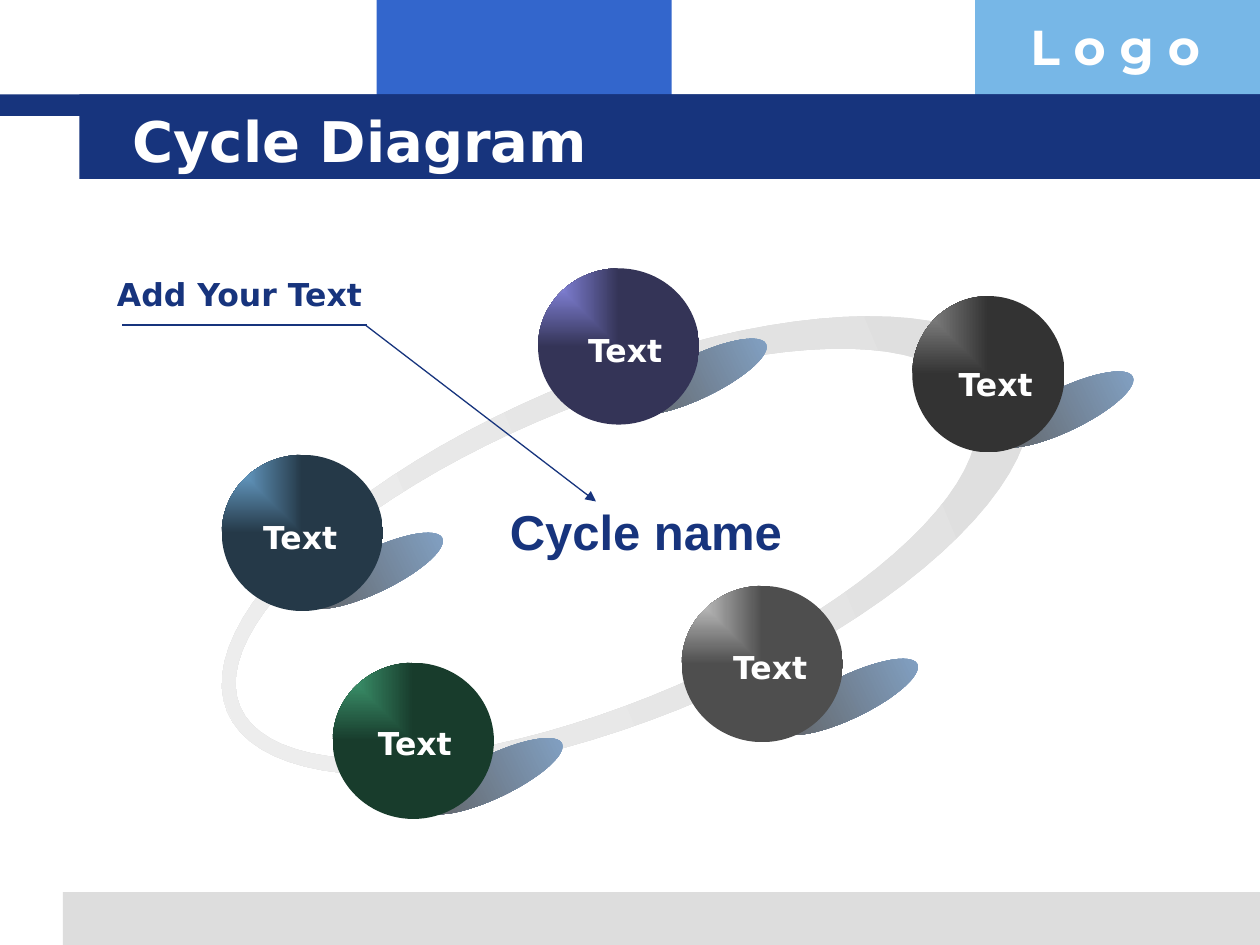
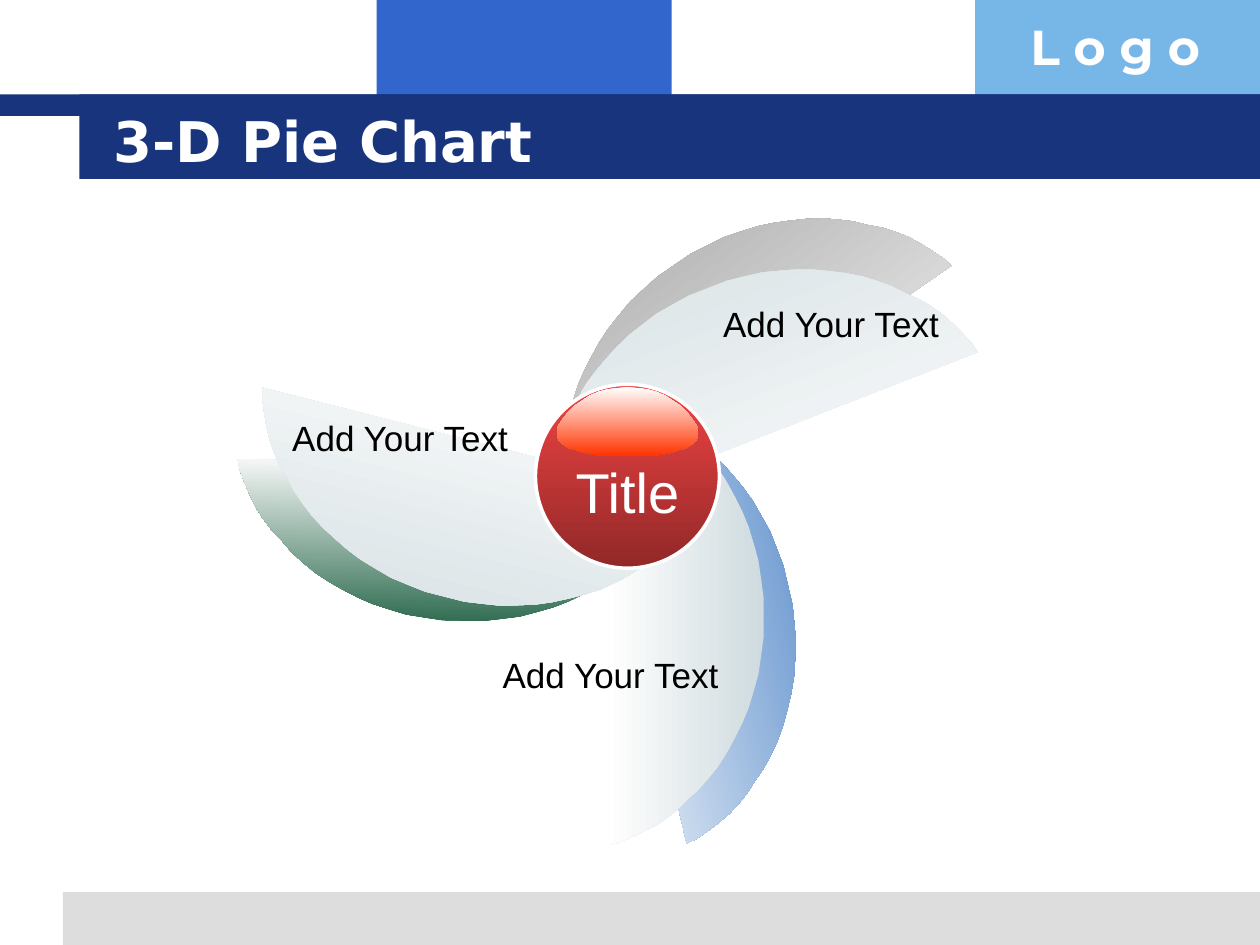
from math import cos, pi, sin

from lxml import etree
from pptx import Presentation
from pptx.dml.color import RGBColor
from pptx.enum.shapes import MSO_CONNECTOR, MSO_SHAPE
from pptx.enum.text import MSO_ANCHOR, MSO_AUTO_SIZE, PP_ALIGN
from pptx.oxml.ns import qn
from pptx.util import Inches, Pt

OVAL, RECTANGLE = MSO_SHAPE.OVAL, MSO_SHAPE.RECTANGLE
STRAIGHT = MSO_CONNECTOR.STRAIGHT
LEFT, CENTER, RIGHT = PP_ALIGN.LEFT, PP_ALIGN.CENTER, PP_ALIGN.RIGHT
MIDDLE = MSO_ANCHOR.MIDDLE
FIT_SHAPE, NO_FIT = MSO_AUTO_SIZE.SHAPE_TO_FIT_TEXT, MSO_AUTO_SIZE.NONE

COLORS = {
    "navy": "17347D", "blue": "3366CC", "sky": "77B7E7", "gray": "DDDDDD",
    "white": "FFFFFF", "black": "000000", "ring_end": "EFEFEF",
    "shadow": "84A5CA", "shadow_end": "5F5F5F",
    "violet": "9999FF", "violet_dark": "343457", "sky_dark": "253948",
    "green": "45AB7D", "green_dark": "183C2C", "gray_dark": "4E4E4E",
    "ash": "969696", "ash_dark": "333333",
    "petal_blue": "447EC4", "petal_green": "2A684C", "petal_end": "FEFEFE",
    "petal_light": "CFDBDF", "red": "F14343", "red_dark": "912828", "orange": "FF3300",
}

# Text styles
TITLE = {"name": "DejaVu Sans", "size": 32, "bold": True, "color": "white"}
LOGO = {"name": "Montserrat", "size": 28, "bold": True, "color": "white"}
BALL_LABEL = {"name": "DejaVu Sans", "size": 18, "bold": True, "color": "white"}
CALLOUT = {**BALL_LABEL, "color": "navy"}
CYCLE_NAME = {"name": "Arial", "size": 28, "bold": True, "color": "navy"}
HUB_TITLE = {"name": "Arial", "size": 32, "bold": False, "color": "white"}
PETAL_LABEL = {"name": "Arial", "size": 20, "bold": False, "color": "black"}

# Left, top, width, height, colour of the bands on every slide
BANDS = [
    (2.99, 0, 2.34, 0.92, "blue"),
    (7.74, 0, 2.26, 0.92, "sky"),
    (0.5, 7.08, 9.5, 0.42, "gray"),
    (0, 0.75, 10, 0.17, "navy"),
    (0.63, 0.75, 9.37, 0.67, "navy"),
]

# Ball left, top, width; shadow left, top; label left, top; colours
BALLS = [
    (4.27, 2.13, 1.28, 4.94, 2.82, 4.57, 2.58, "violet", "violet_dark"),
    (1.76, 3.61, 1.28, 2.37, 4.36, 1.99, 4.06, "sky", "sky_dark"),
    (2.64, 5.26, 1.28, 3.32, 5.99, 2.9, 5.7, "green", "green_dark"),
    (5.41, 4.65, 1.28, 6.14, 5.36, 5.72, 5.09, "gray", "gray_dark"),
    (7.24, 2.35, 1.21, 7.85, 3.08, 7.51, 2.85, "ash", "ash_dark"),
]

# Left, top, rotation, start and end colour of each petal
PETALS = [
    (5.02, 2.98, 346.8, "petal_blue", "petal_end"),
    (3.06, 2.49, 91, "petal_green", "petal_end"),
    (5.08, 0.81, 235.5, "ash", "petal_end"),
    (4.81, 3.09, 0, "petal_light", "white"),
    (3.06, 2.32, 104.3, "petal_light", "white"),
    (5.22, 1.06, 248.7, "petal_light", "white"),
]

# Upper half of a petal, measured from the middle of its straight side
PETAL_HALF = [
    (0, -1.81), (0.09, -1.79), (0.19, -1.75), (0.28, -1.71), (0.38, -1.66),
    (0.47, -1.6), (0.56, -1.53), (0.64, -1.45), (0.73, -1.37), (0.81, -1.28),
    (0.89, -1.18), (0.96, -1.07), (1.02, -0.96), (1.08, -0.84), (1.13, -0.72),
    (1.17, -0.59), (1.21, -0.45), (1.23, -0.31), (1.25, -0.16), (1.25, 0),
]

# Right half of the hub's gloss, measured from the middle of its top
GLOSS_HALF = [
    (0, 0), (0.08, 0.01), (0.16, 0.02), (0.23, 0.04), (0.3, 0.07), (0.36, 0.11),
    (0.42, 0.15), (0.47, 0.2), (0.51, 0.25), (0.55, 0.31), (0.56, 0.34),
    (0.56, 0.4), (0.54, 0.43), (0.52, 0.45), (0.49, 0.47), (0.46, 0.49),
    (0.41, 0.5), (0.36, 0.52), (0.31, 0.53), (0.25, 0.54), (0.13, 0.55),
]


def rgb(name):
    return RGBColor.from_string(COLORS[name])


def fill_gradient(shape, start, end, angle=180):
    """Fill with two colours; the angle runs counter-clockwise."""
    shape.fill.gradient()
    shape.fill.gradient_angle = angle
    for stop, color in zip(shape.fill.gradient_stops, (start, end)):
        stop.color.rgb = rgb(color)


def light_from_corner(shape):
    """Turn a linear gradient into one that spreads from the top left."""
    linear = next(shape.element.iter(qn("a:lin")))
    spread = etree.Element(qn("a:path"), {"path": "rect"})
    etree.SubElement(spread, qn("a:fillToRect"), {"r": "100000", "b": "100000"})
    linear.getparent().replace(linear, spread)


def add_preset(slide, kind, left, top, width, height):
    shape = slide.shapes.add_shape(kind, Inches(left), Inches(top), Inches(width), Inches(height))
    shape.shadow.inherit = False
    shape.line.fill.background()
    return shape


def add_outline(slide, *contours):
    """Draw closed contours as one shape; a second contour cuts a hole."""
    contours = [[(Inches(x), Inches(y)) for x, y in contour] for contour in contours]
    builder = slide.shapes.build_freeform(*contours[0][0])
    builder.add_line_segments(contours[0][1:], close=True)
    for contour in contours[1:]:
        builder.move_to(*contour[0])
        builder.add_line_segments(contour[1:], close=True)
    shape = builder.convert_to_shape()
    shape.shadow.inherit = False
    shape.line.fill.background()
    return shape


def format_text(frame, text, style, alignment):
    frame.text = text
    paragraph = frame.paragraphs[0]
    paragraph.alignment = alignment
    font = paragraph.runs[0].font
    values = {"name": style["name"], "size": Pt(style["size"]), "bold": style["bold"]}
    for attribute, value in values.items():
        setattr(font, attribute, value)
    font.color.rgb = rgb(style["color"])


def add_label(slide, text, left, top, width, height, style, alignment=LEFT, wrap=False):
    box = slide.shapes.add_textbox(Inches(left), Inches(top), Inches(width), Inches(height))
    box.text_frame.word_wrap = wrap
    box.text_frame.auto_size = FIT_SHAPE
    format_text(box.text_frame, text, style, alignment)


def add_line(slide, start, end, arrow=False):
    points = [Inches(value) for value in (*start, *end)]
    connector = slide.shapes.add_connector(STRAIGHT, *points)
    connector.line.color.rgb = rgb("navy")
    connector.line.width = Pt(0.75)
    if arrow:
        etree.SubElement(connector.line._get_or_add_ln(), qn("a:tailEnd"), {"type": "triangle"})
    etree.SubElement(connector.element.spPr, qn("a:effectLst"))


def add_titled_slide(presentation, text, margin=0.1):
    slide = presentation.slides.add_slide(presentation.slide_layouts[5])
    for *place, color in BANDS:
        band = add_preset(slide, RECTANGLE, *place)
        band.fill.solid()
        band.fill.fore_color.rgb = rgb(color)
    add_label(slide, "L o g o", 8.08, 0.08, 1.93, 0.57, LOGO, wrap=True)

    # Title, brought in front of the bands
    title = slide.shapes.title
    place = {"left": 0.8, "top": 0.8, "width": 8.53, "height": 0.62}
    for attribute, value in place.items():
        setattr(title, attribute, Inches(value))
    frame = title.text_frame
    frame.margin_left = Inches(margin)
    frame.vertical_anchor = MIDDLE
    frame.auto_size = NO_FIT
    format_text(frame, text, TITLE, LEFT)
    title.element.getparent().append(title.element)
    return slide


def ellipse_points(center_x, center_y, radius_x, radius_y, count=90):
    angles = [2 * pi * step / count for step in range(count)]
    return [(center_x + radius_x * cos(a), center_y + radius_y * sin(a)) for a in angles]


def add_ring(slide):
    outer = ellipse_points(4.97, 4.33, 3.43, 1.36)
    inner = ellipse_points(4.8, 4.33, 3.15, 1.18)
    ring = add_outline(slide, outer, inner[::-1])
    ring.rotation = 337.4
    fill_gradient(ring, "gray", "ring_end")


def add_ball_shadow(slide, left, top):
    shadow = add_preset(slide, OVAL, left, top, 1.2, 0.34)
    shadow.rotation = 334.3
    fill_gradient(shadow, "shadow", "shadow_end")


def add_ball(slide, left, top, width, color, dark):
    ball = add_preset(slide, OVAL, left, top, width, 1.24)
    fill_gradient(ball, color, dark)
    light_from_corner(ball)


def add_petal(slide, left, top, rotation, start, end):
    half = PETAL_HALF + [(x, -y) for x, y in PETAL_HALF[-2::-1]]
    petal = add_outline(slide, [(left + x, top + 1.81 + y) for x, y in half])
    petal.rotation = rotation
    fill_gradient(petal, start, end)


def add_hub(slide):
    hub = add_preset(slide, OVAL, 4.25, 3.05, 1.46, 1.46)
    fill_gradient(hub, "red", "red_dark", 270)
    hub.line.color.rgb = rgb("white")
    hub.line.width = Pt(2)
    outline = GLOSS_HALF + [(-x, y) for x, y in GLOSS_HALF[:0:-1]]
    gloss = add_outline(slide, [(4.98 + x, 3.07 + y) for x, y in outline])
    fill_gradient(gloss, "white", "orange", 270)
    add_label(slide, "Title", 4.46, 3.58, 1.04, 0.64, HUB_TITLE, CENTER)


def build_cycle_slide(presentation):
    slide = add_titled_slide(presentation, "Cycle Diagram", margin=0.25)
    add_ring(slide)
    for ball in BALLS:
        add_ball_shadow(slide, *ball[3:5])
    for ball in BALLS:
        add_ball(slide, *ball[:3], *ball[7:])
    for ball in BALLS:
        add_label(slide, "Text", *ball[5:7], 0.82, 0.4, BALL_LABEL)

    # Name in the middle and its callout
    add_label(slide, "Cycle name", 3.83, 3.93, 2.59, 0.57, CYCLE_NAME, CENTER, wrap=True)
    add_line(slide, (2.9, 2.58), (4.73, 3.98), arrow=True)
    add_line(slide, (2.91, 2.58), (0.97, 2.58))
    add_label(slide, "Add Your Text", 0.83, 2.13, 2.31, 0.4, CALLOUT, wrap=True)


def build_pie_slide(presentation):
    slide = add_titled_slide(presentation, "3-D Pie Chart")
    for petal in PETALS:
        add_petal(slide, *petal)
    add_hub(slide)
    for left, top, alignment in [(2.15, 3.26, RIGHT), (5.64, 2.35, LEFT), (3.82, 5.14, RIGHT)]:
        add_label(slide, "Add Your Text", left, top, 1.98, 0.44, PETAL_LABEL, alignment)


def main():
    presentation = Presentation()
    presentation.slide_width = Inches(10)
    presentation.slide_height = Inches(7.5)
    build_cycle_slide(presentation)
    build_pie_slide(presentation)
    presentation.save("out.pptx")


if __name__ == "__main__":
    main()
